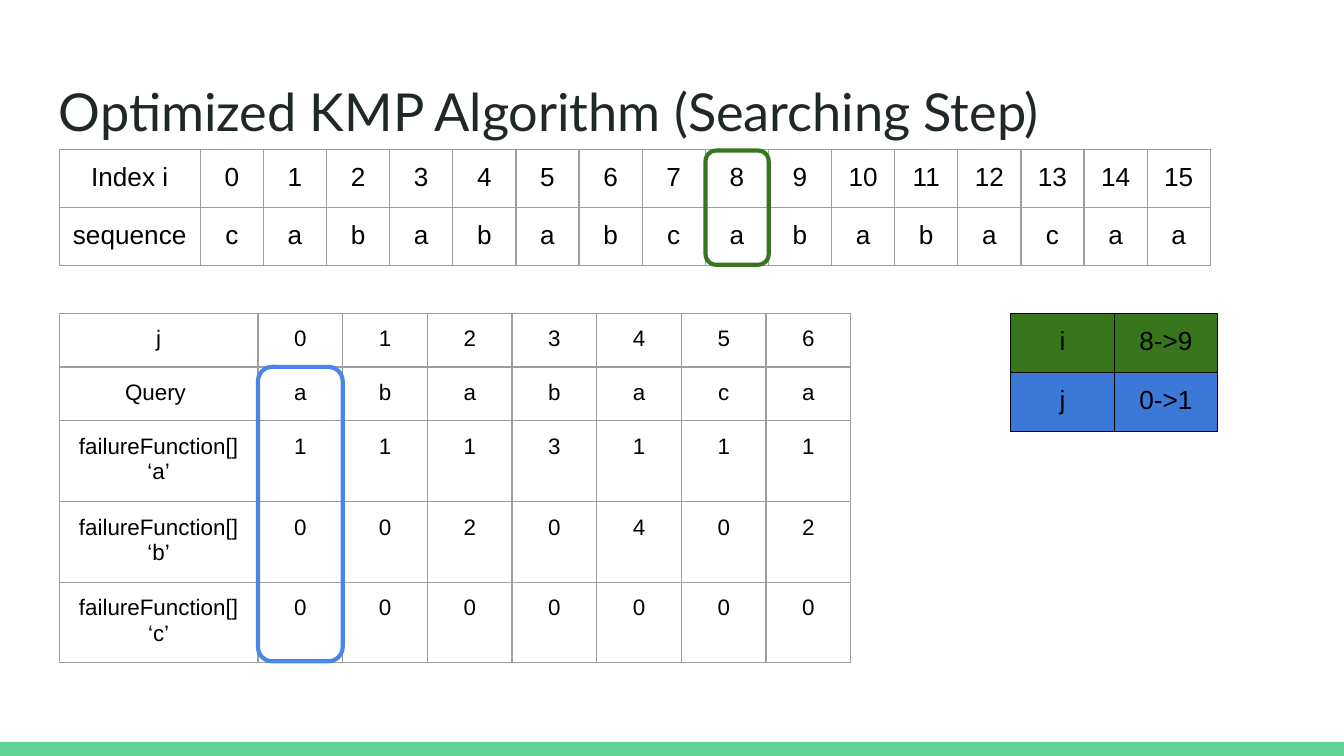
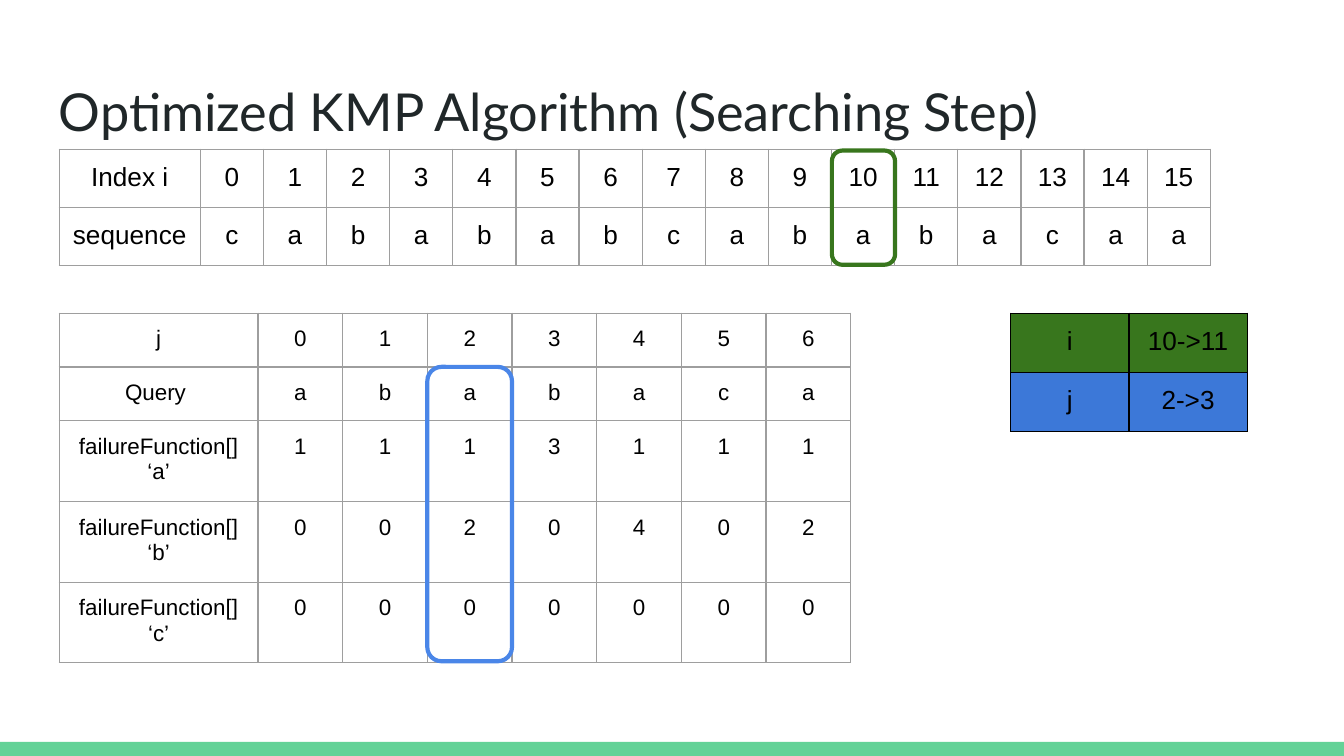
from dataclasses import dataclass
from lxml.etree import SubElement as Sub
from pptx import Presentation
from pptx.dml.color import RGBColor as RGB
from pptx.enum.shapes import MSO_SHAPE as Shape
from pptx.enum.text import PP_ALIGN as Align
from pptx.oxml.ns import qn
from pptx.util import Inches, Pt


@dataclass(frozen=True)
class Theme:
    title: str = "202729"
    text: str = "000000"
    grid: str = "9E9E9E"
    band: str = "63D297"
    green: str = "38761D"
    blue: str = "3C78D8"
    ring: str = "4A86E8"
    head_font: str = "Lato"
    body_font: str = "Arial"
    head_size: int = 28
    cell_size: int = 14
    small_size: int = 12
    grid_width: float = 0.75
    ring_width: float = 2.25
    pad: float = 0.1


THEME = Theme()
WIDTH = 10
HEIGHT = WIDTH * 9 / 16
FRAME = 3.28
TITLE = "Optimized KMP Algorithm (Searching Step)"
SEQUENCE = "cabababcababacaa"
QUERY = "ababaca"
FAILURE = {"a": "1113111", "b": "0020402", "c": "0000000"}


def inches(*nums):
    return [Inches(num) for num in nums]


def style(para, font, size, color):
    para.font.name = font
    para.font.size = Pt(size)
    para.font.color.rgb = RGB.from_string(color)


def pad(item):
    item.margin_left = item.margin_right = Inches(THEME.pad)
    item.margin_top = item.margin_bottom = Inches(THEME.pad)


def border(cell, color):
    props = cell._tc.get_or_add_tcPr()
    for side in ("a:lnL", "a:lnR", "a:lnT", "a:lnB"):
        line = Sub(props, qn(side), w=str(Pt(THEME.grid_width)))
        fill = Sub(line, qn("a:solidFill"))
        Sub(fill, qn("a:srgbClr"), val=color)


def add_grid(slide, left, top, cols, heights, rows, size, edge, fills=None):
    box = inches(left, top, FRAME, FRAME)
    frame = slide.shapes.add_table(len(rows), len(cols), *box)
    table = frame.table
    table.first_row = table.horz_banding = False
    for col, width in zip(table.columns, cols):
        col.width = Inches(width)
    for y, (row, height) in enumerate(zip(rows, heights)):
        table.rows[y].height = Inches(height)
        for x, text in enumerate(row):
            cell = table.cell(y, x)
            cell.text = text
            pad(cell)
            para = cell.text_frame.paragraphs[0]
            para.alignment = Align.CENTER
            style(para, THEME.body_font, size, THEME.text)
            border(cell, edge)
            if fills:
                cell.fill.solid()
                cell.fill.fore_color.rgb = RGB.from_string(fills[y])
            else:
                cell.fill.background()
    frame.width, frame.height = inches(FRAME, FRAME)


def add_ring(slide, left, top, width, height, color):
    ring = slide.shapes.add_shape(
        Shape.ROUNDED_RECTANGLE, *inches(left, top, width, height))
    ring.shadow.inherit = False
    ring.fill.background()
    ring.line.color.rgb = RGB.from_string(color)
    ring.line.width = Pt(THEME.ring_width)


def add_frame(slide):
    band = slide.shapes.add_shape(
        Shape.RECTANGLE, *inches(0, 5.52, WIDTH, 0.11))
    band.shadow.inherit = False
    band.fill.solid()
    band.fill.fore_color.rgb = RGB.from_string(THEME.band)
    band.line.fill.background()
    frame = slide.shapes.add_textbox(*inches(0.34, 0.49, 9.32, 0.63)).text_frame
    frame.word_wrap = True
    pad(frame)
    para = frame.paragraphs[0]
    para.text = TITLE
    style(para, THEME.head_font, THEME.head_size, THEME.title)


def add_text(slide, left, top, i):
    head, step = 1.05, 0.47
    count = len(SEQUENCE)
    rows = [["Index i", *map(str, range(count))], ["sequence", *SEQUENCE]]
    add_grid(slide, left, top, [head] + [step] * count, [0.42] * 2,
             rows, THEME.cell_size, THEME.grid)
    return left + head + i * step, top + 0.01, step, 0.85, THEME.green


def add_state(slide, left, top, i, j, width):
    rows = [["i", f"{i}->{i + 1}"], ["j", f"{j}->{j + 1}"]]
    add_grid(slide, left, top, [width] * 2, [0.44] * 2, rows,
             THEME.cell_size, THEME.text, [THEME.green, THEME.blue])


def add_query(slide, left, top, j):
    head, step = 1.48, 0.63
    count = len(QUERY)
    rows = [["j", *map(str, range(count))], ["Query ", *QUERY]]
    rows += [[f"failureFunction[] ‘{key}’", *vals]
             for key, vals in FAILURE.items()]
    add_grid(slide, left, top, [head] + [step] * count,
             [0.31] * 2 + [0.48] * 3, rows, THEME.small_size, THEME.grid)
    return left + head + j * step, top + 0.4, step, 2.19, THEME.ring


def add_step(deck, i, j, width):
    slide = deck.slides.add_slide(deck.slide_layouts[6])
    add_frame(slide)
    rings = [add_text(slide, 0.44, 1.11, i)]
    add_state(slide, 7.52, 2.33, i, j, width)
    rings.append(add_query(slide, 0.44, 2.33, j))
    for ring in rings:
        add_ring(slide, *ring)


def main():
    deck = Presentation()
    deck.slide_width, deck.slide_height = inches(WIDTH, HEIGHT)
    add_step(deck, 8, 0, 0.77)
    add_step(deck, 10, 2, 0.88)
    deck.save("out.pptx")


if __name__ == "__main__":
    main()
